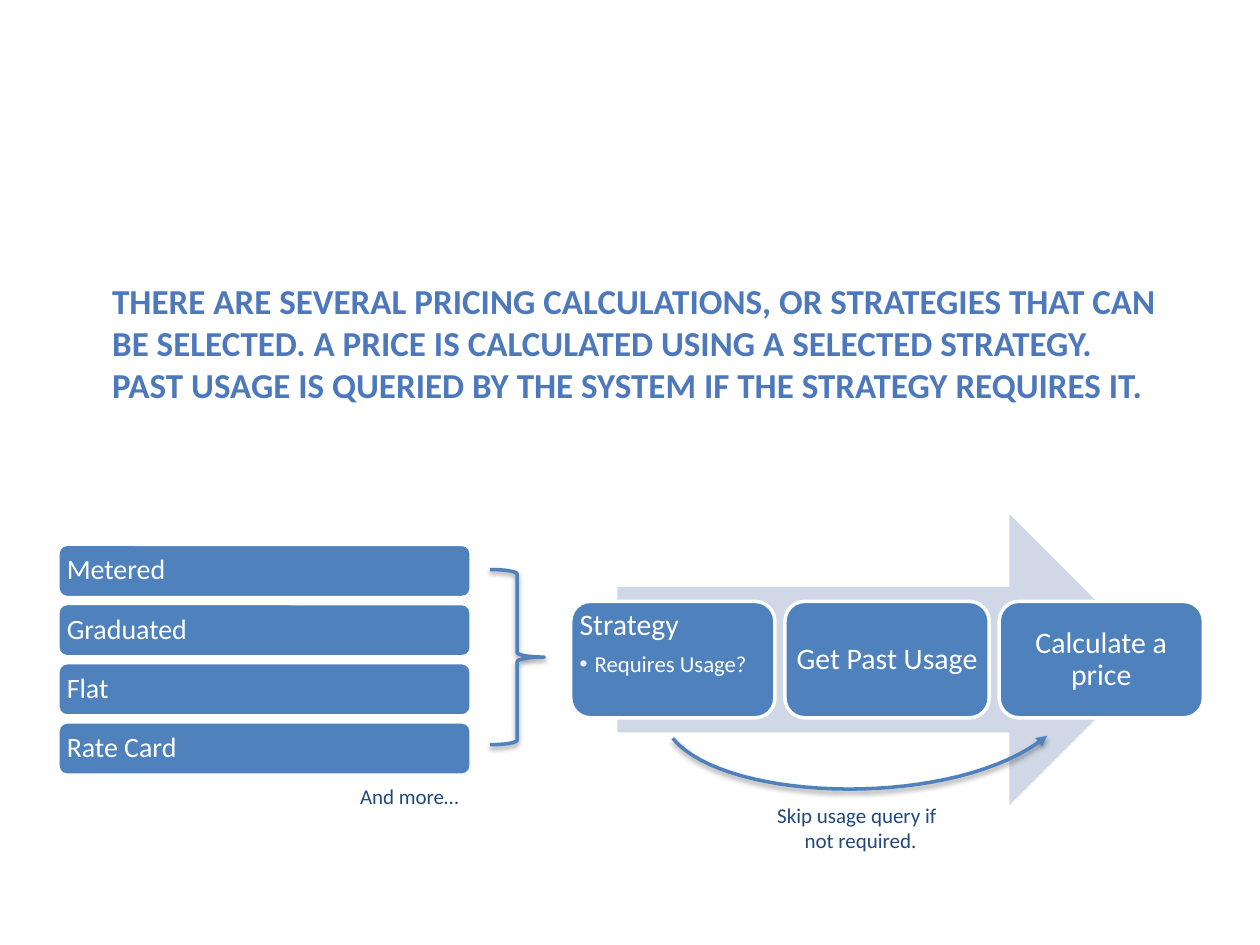
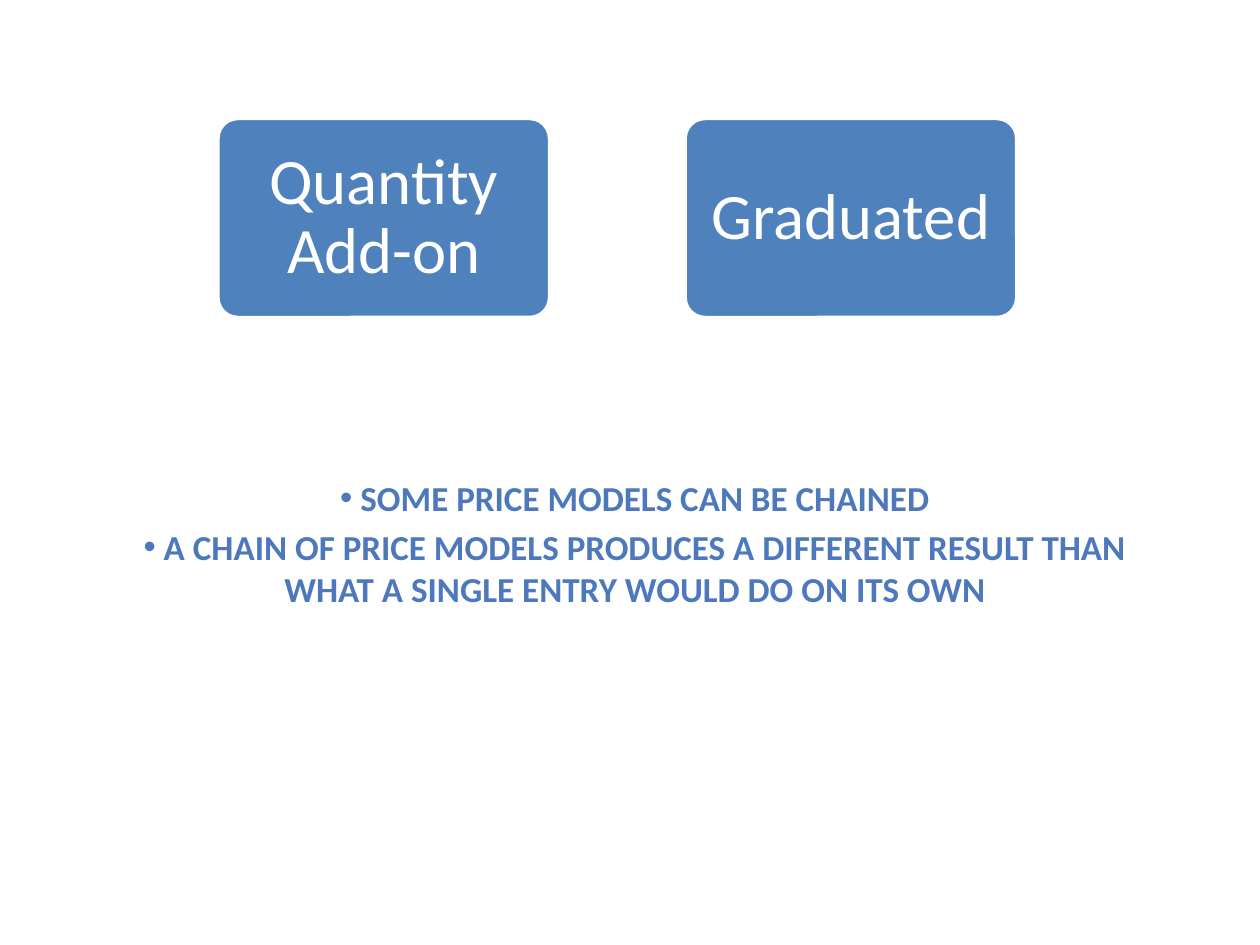
from lxml.etree import SubElement
from pptx import Presentation
from pptx.dml.color import RGBColor as RGB
from pptx.enum.shapes import MSO_SHAPE as SHAPE
from pptx.enum.text import MSO_ANCHOR as ANCHOR, PP_ALIGN as ALIGN
from pptx.oxml.ns import qn
from pptx.util import Inches, Pt

COLORS = {"blue": "4F81BD", "pale": "D0D8E8", "white": "FFFFFF",
          "body": "4D79BC", "navy": "1F497D", "black": "000000"}
FONT = "Calibri"
COLS, ROWS = 100, 75
CELL = Inches(0.1)
LEFT, CENTER, RIGHT = ALIGN.LEFT, ALIGN.CENTER, ALIGN.RIGHT


def color(name):
    return RGB.from_string(COLORS[name])


def cells(*values):
    return [round(v * CELL) for v in values]


def style(p, size, name, align=LEFT, bold=False):
    p.alignment = align
    for r in p.runs:
        r.font.name = FONT
        r.font.size = Pt(size)
        r.font.bold = bold
        r.font.color.rgb = color(name)


def bullet(p, indent=0):
    pPr = p._p.get_or_add_pPr()
    pPr.set("marL", str(Inches(indent)))
    pPr.set("indent", str(-Inches(indent)))
    SubElement(pPr, qn("a:buFont"), typeface="Arial")
    SubElement(pPr, qn("a:buChar"), char="•")


def shape(s, kind, box, fill):
    sp = s.shapes.add_shape(kind, *cells(*box))
    sp.shadow.inherit = False
    sp.fill.solid()
    sp.fill.fore_color.rgb = color(fill)
    sp.line.fill.background()
    return sp


def outline(sp):
    sp.shadow.inherit = False
    sp.fill.background()
    sp.line.color.rgb = color("blue")
    sp.line.width = Pt(2)
    effects = sp._element.spPr.find(qn("a:effectLst"))
    shadow = SubElement(effects, qn("a:outerShdw"), blurRad=str(Pt(3.1)),
                        dist=str(Pt(1.6)), dir="5400000", rotWithShape="0")
    tone = SubElement(shadow, qn("a:srgbClr"), val=COLORS["black"])
    SubElement(tone, qn("a:alpha"), val="38000")


def card(s, box, text, size, align=CENTER, adj=0.17, inset=0.7):
    sp = shape(s, SHAPE.ROUNDED_RECTANGLE, box, "blue")
    sp.adjustments[0] = adj
    sp.line.color.rgb = color("white")
    sp.line.width = Pt(2)
    tf = sp.text_frame
    tf.word_wrap = True
    tf.vertical_anchor = ANCHOR.MIDDLE
    corner = 0.29 * adj * min(box[2:])
    margin, = cells(inset - corner)
    tf.margin_left = tf.margin_right = tf.margin_top = tf.margin_bottom = margin
    tf.text = text
    p = tf.paragraphs[0]
    p.line_spacing = 0.9
    style(p, size, "white", align)
    return tf


def caption(s, box, lines):
    tf = s.shapes.add_textbox(*cells(*box)).text_frame
    tf.word_wrap = True
    for i, (text, align) in enumerate(lines):
        p = tf.add_paragraph() if i else tf.paragraphs[0]
        p.text = text
        style(p, 12, "navy", align)


def body_slide(prs, box, lines, align=LEFT, bullets=False):
    s = prs.slides.add_slide(prs.slide_layouts[2])
    title, body = s.placeholders[0], s.placeholders[1]
    title._element.getparent().remove(title._element)
    body.left, body.top, body.width, body.height = cells(*box)
    tf = body.text_frame
    tf.vertical_anchor = ANCHOR.TOP
    tf.text = "\n".join(lines)
    for i, p in enumerate(tf.paragraphs):
        p.space_before = Pt(4 if i else 0)
        if bullets:
            bullet(p)
        style(p, 20, "body", align, bold=True)
    return s


def strategy_list(s, box, names):
    x, y, w, h = box
    pitch = h / len(names)
    for i, name in enumerate(names):
        card(s, (x, y + i * pitch, w, 0.9 * pitch), name, 16, LEFT)
    caption(s, (x + w - 10, y + h - 0.3, 10, 3), [("And more…", RIGHT)])
    brace = s.shapes.add_shape(SHAPE.RIGHT_BRACE,
                               *cells(x + w + 1.5, y + 2, 4.3, 13.9))
    outline(brace)


def bezier(points, steps=32):
    a, b, c, d = points
    for i in range(steps + 1):
        t = i / steps
        u = 1 - t
        yield [u**3 * e + 3 * u * u * t * f + 3 * u * t * t * g + t**3 * h
               for e, f, g, h in zip(a, b, c, d)]


def skip_arrow(s, x, y):
    curve = [(0, 0), (4.3, 5.2), (22.7, 5.6), (29.7, -0.2)]
    start, *rest = [tuple(cells(x + dx, y + dy)) for dx, dy in bezier(curve)]
    builder = s.shapes.build_freeform(*start)
    builder.add_line_segments(rest, close=False)
    sp = builder.convert_to_shape()
    outline(sp)
    SubElement(sp.line._get_or_add_ln(), qn("a:tailEnd"), type="triangle")
    caption(s, (x + 7.3, y + 4.6, 15.2, 5),
            [("Skip usage query if", LEFT), ("not required.", CENTER)])


def price_process(s, box, steps):
    x, y, w, h = box
    shape(s, SHAPE.RIGHT_ARROW, (x + 3.7, y, 0.85 * w, h), "pale")
    pitch = w / len(steps) + 0.27
    frames = [card(s, (x + i * pitch, y + 0.3 * h, pitch - 0.8, 0.4 * h), text, 17)
              for i, text in enumerate(steps)]
    tf = frames[0]
    tf.vertical_anchor = ANCHOR.TOP
    tf.paragraphs[0].alignment = LEFT
    tf.paragraphs[0].space_after = Pt(6)
    p = tf.add_paragraph()
    p.text = "Requires Usage?"
    p.line_spacing = 0.9
    bullet(p, 0.12)
    style(p, 13, "white")
    skip_arrow(s, x + 8.1, y + 17.8)


def model_chain(s, box, names):
    x, y, w, h = box
    pitch = w / (len(names) - 0.29)
    for i, name in enumerate(names):
        card(s, (x + i * pitch, y, 0.71 * pitch, h), name, 37, adj=0.1, inset=1.5)


def main():
    prs = Presentation()
    prs.slide_width, prs.slide_height = cells(COLS, ROWS)

    s = body_slide(prs, (7.9, 21.7, 85, 19.1), [
        "THERE ARE SEVERAL PRICING CALCULATIONS, OR STRATEGIES THAT CAN BE "
        "SELECTED. A PRICE IS CALCULATED USING A SELECTED STRATEGY. PAST USAGE "
        "IS QUERIED BY THE SYSTEM IF THE STRATEGY REQUIRES IT."])
    price_process(s, (45.3, 40.8, 50.2, 23.1),
                  ["Strategy", "Get Past Usage", "Calculate a price"])
    strategy_list(s, (4.6, 43.2, 32.8, 18.8),
                  ["Metered", "Graduated", "Flat", "Rate Card"])

    s = body_slide(prs, (7.9, 37.3, 85, 16.7), [
        " SOME PRICE MODELS CAN BE CHAINED",
        " A CHAIN OF PRICE MODELS PRODUCES A DIFFERENT RESULT THAN WHAT A "
        "SINGLE ENTRY WOULD DO ON ITS OWN"], CENTER, bullets=True)
    model_chain(s, (17.3, 9.4, 63.4, 15.8), ["Quantity Add-on", "Graduated"])

    prs.save("out.pptx")


if __name__ == "__main__":
    main()
